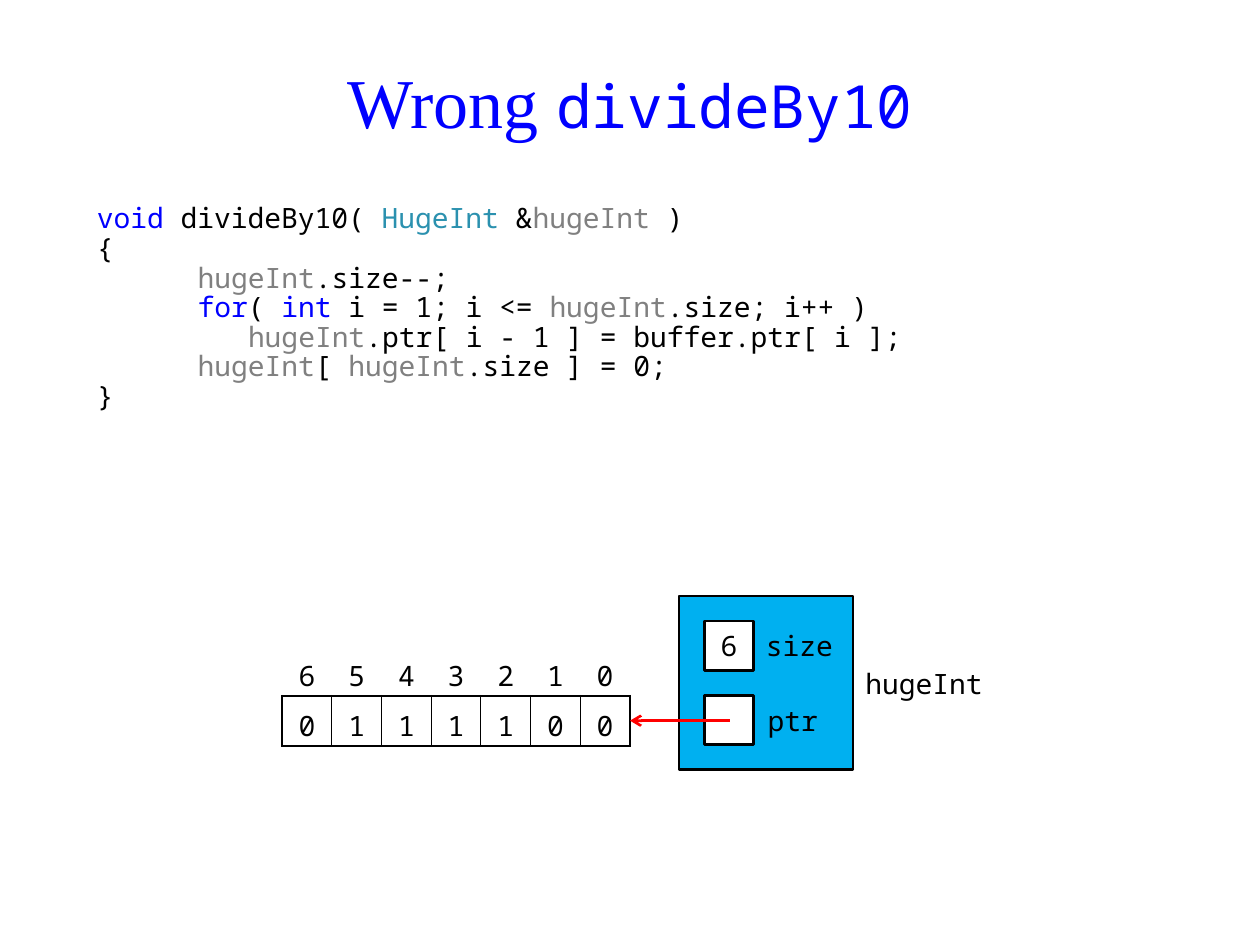
from lxml.etree import SubElement
from pptx import Presentation
from pptx.dml.color import RGBColor
from pptx.enum.shapes import MSO_CONNECTOR, MSO_SHAPE
from pptx.enum.text import MSO_ANCHOR, PP_ALIGN
from pptx.oxml.ns import qn
from pptx.util import Inches, Pt

BLACK = RGBColor(0, 0, 0)
WHITE = RGBColor(255, 255, 255)
BLUE = RGBColor(0, 0, 255)
TEAL = RGBColor(0x2B, 0x91, 0xAF)
GRAY = RGBColor(0x80, 0x80, 0x80)
SKY = RGBColor(0, 0xB0, 0xF0)
RED = RGBColor(255, 0, 0)
MONO = "Noto Sans Mono"
SERIF = "Times New Roman"


def add_run(paragraph, text, color=BLACK, size=16, font=MONO):
    run = paragraph.add_run()
    run.text = text
    run.font.name, run.font.size = font, Pt(size)
    run.font.color.rgb = color


def add_text_box(left, top, width, height, anchor, inset_y=0.05, inset_right=0.1):
    frame = slide.shapes.add_textbox(
        Inches(left), Inches(top), Inches(width), Inches(height)).text_frame
    frame.word_wrap = True
    frame.vertical_anchor = anchor
    frame.margin_left, frame.margin_right = Inches(0.1), Inches(inset_right)
    frame.margin_top = frame.margin_bottom = Inches(inset_y)
    return frame


prs = Presentation()
prs.slide_width, prs.slide_height = Inches(10), Inches(7.5)
slide = prs.slides.add_slide(prs.slide_layouts[6])

# Title
title = add_text_box(0.67, 0.21, 8.66, 1.18, MSO_ANCHOR.MIDDLE).paragraphs[0]
title.alignment = PP_ALIGN.CENTER
add_run(title, "Wrong ", BLUE, 40, SERIF)
add_run(title, "divideBy10", BLUE, 34)

# Code: indent in characters, then coloured pieces
CHARACTER_WIDTH = Pt(9.6)
code_lines = [
    (0, [("void ", BLUE), ("divideBy10( ", BLACK), ("HugeInt", TEAL),
         (" &", BLACK), ("hugeInt", GRAY), (" )", BLACK)]),
    (0, [("{", BLACK)]),
    (6, [("hugeInt", GRAY), (".size--;", BLACK)]),
    (6, [("for", BLUE), ("( ", BLACK), ("int", BLUE), (" i = 1; i <= ", BLACK),
         ("hugeInt", GRAY), (".size; i++ )", BLACK)]),
    (9, [("hugeInt", GRAY), (".ptr[ i - 1 ] = buffer.ptr[ i ];", BLACK)]),
    (6, [("hugeInt", GRAY), ("[ ", BLACK), ("hugeInt", GRAY),
         (".size ] = 0;", BLACK)]),
    (0, [("}", BLACK)]),
]
code = add_text_box(0.67, 1.58, 6.69, 1.97, MSO_ANCHOR.TOP)
for number, (indent, pieces) in enumerate(code_lines):
    line = code.add_paragraph() if number else code.paragraphs[0]
    line.line_spacing = 0.88
    line._p.get_or_add_pPr().set("marL", str(indent * CHARACTER_WIDTH))
    for text, color in pieces:
        add_run(line, text, color)

# The object and its two member boxes
for left, top, side, fill, value in [
    (5.39, 4.73, 1.38, SKY, ""),
    (5.59, 4.93, 0.39, WHITE, "6"),
    (5.59, 5.52, 0.39, WHITE, ""),
]:
    box = slide.shapes.add_shape(MSO_SHAPE.RECTANGLE, Inches(left), Inches(top),
                                 Inches(side), Inches(side))
    box.shadow.inherit = False
    box.fill.solid()
    box.fill.fore_color.rgb = fill
    box.line.color.rgb = BLACK
    box.line.width = Pt(1.5)
    if value:
        frame = box.text_frame
        frame.margin_left = frame.margin_right = 0
        frame.margin_top = frame.margin_bottom = 0
        frame.vertical_anchor = MSO_ANCHOR.MIDDLE
        frame.paragraphs[0].alignment = PP_ALIGN.CENTER
        add_run(frame.paragraphs[0], value)

# Labels
for text, left, top, width, height, inset_y, inset_right, alignment in [
    ("hugeInt", 6.77, 5.13, 1.18, 0.59, 0.05, 0.1, PP_ALIGN.LEFT),
    ("size", 5.98, 4.93, 0.79, 0.39, 0, 0.1, PP_ALIGN.LEFT),
    ("ptr", 5.98, 5.52, 0.59, 0.39, 0, 0.08, PP_ALIGN.RIGHT),
]:
    label = add_text_box(left, top, width, height, MSO_ANCHOR.MIDDLE,
                         inset_y, inset_right).paragraphs[0]
    label.alignment = alignment
    add_run(label, text)

# Digit array: indices above, bordered digits below
digit_rows = ["6543210", "0111100"]
last = len(digit_rows[0]) - 1
digits = slide.shapes.add_table(2, last + 1, Inches(2.24), Inches(5.13),
                                Inches(2.76), Inches(0.79)).table
digits.first_row = digits.horz_banding = False
for row, values in enumerate(digit_rows):
    for column, value in enumerate(values):
        cell = digits.cell(row, column)
        cell.margin_left = cell.margin_right = 0
        cell.margin_top = cell.margin_bottom = 0
        cell.vertical_anchor = MSO_ANCHOR.MIDDLE
        paragraph = cell.text_frame.paragraphs[0]
        paragraph.alignment = PP_ALIGN.CENTER
        paragraph.line_spacing = 1.25
        add_run(paragraph, value)
        if row == 0:
            borders = {"lnL": 0, "lnR": 0, "lnT": 0, "lnB": 1.5}
        else:
            borders = {"lnL": 0.75 if column else 1.5,
                       "lnR": 0.75 if column < last else 1.5,
                       "lnT": 1.5, "lnB": 1.5}
        properties = cell._tc.get_or_add_tcPr()
        for side, width in borders.items():
            border = SubElement(properties, qn("a:" + side), w=str(Pt(width)))
            if width:
                ink = SubElement(border, qn("a:solidFill"))
                SubElement(ink, qn("a:srgbClr"), val=str(BLACK))
            else:
                SubElement(border, qn("a:noFill"))
        cell.fill.background()

# Pointer arrow from ptr to the array
pointer = slide.shapes.add_connector(MSO_CONNECTOR.STRAIGHT, Inches(5.79),
                                     Inches(5.72), Inches(5), Inches(5.72))
pointer.line.color.rgb = RED
pointer.line.width = Pt(1.5)
SubElement(pointer.line._get_or_add_ln(), qn("a:tailEnd"), type="arrow")
SubElement(pointer._element.spPr, qn("a:effectLst"))

prs.save("out.pptx")
